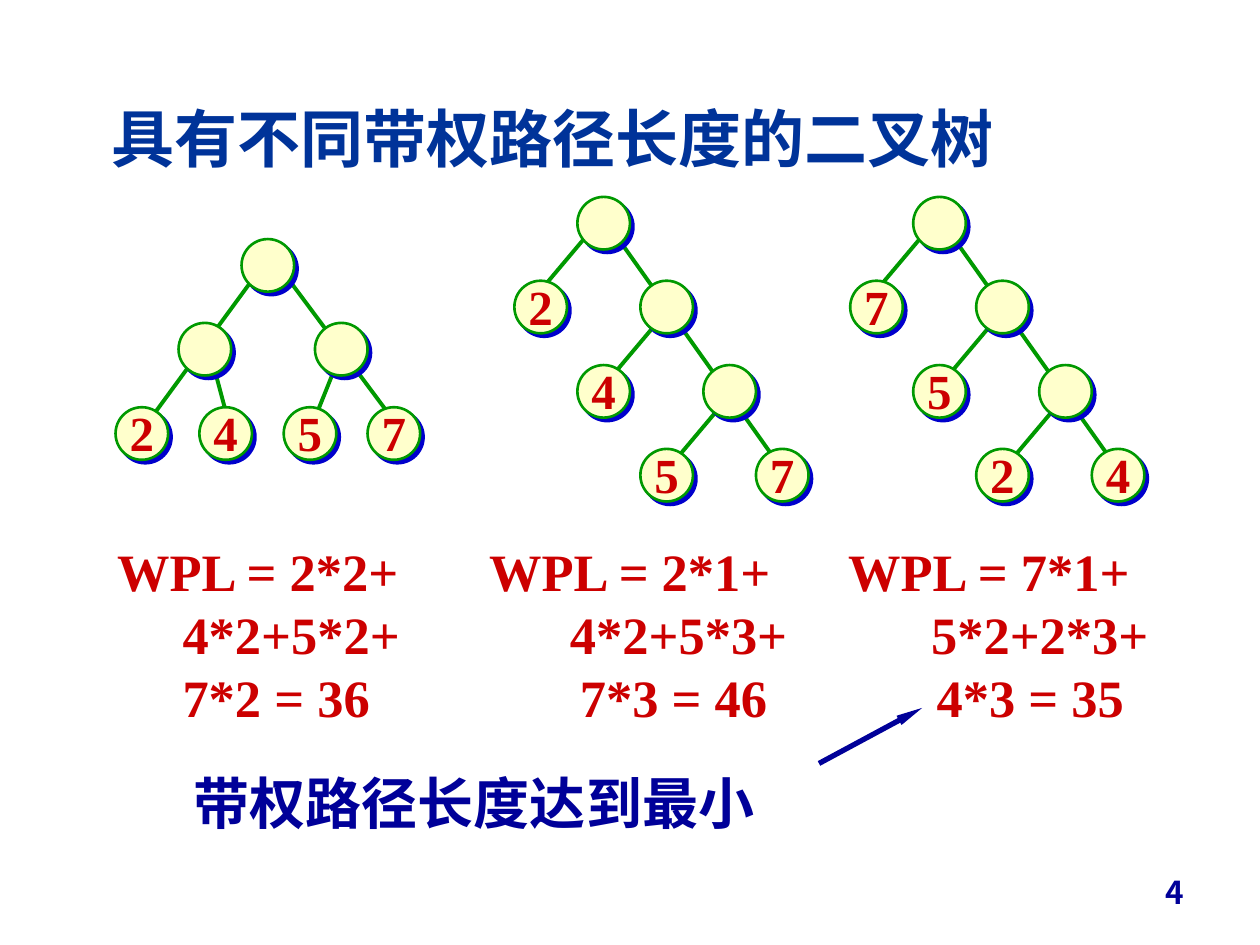
from lxml.etree import SubElement
from pptx import Presentation
from pptx.dml.color import RGBColor
from pptx.enum.shapes import MSO_CONNECTOR, MSO_SHAPE
from pptx.enum.text import MSO_ANCHOR, MSO_AUTO_SIZE, PP_ALIGN
from pptx.oxml.ns import qn
from pptx.util import Cm, Pt

GREEN, CREAM, RED, NAVY = "009900", "FFFFCC", "CC0000", "000099"
SERIF, SANS = "Times New Roman", "Noto Sans CJK SC"
NODE = 1.06  # circle diameter in cm


def color(code):
    return RGBColor.from_string(code)


def add_span(para, text, size, code, font=SERIF):
    """Append a bold run, with the sans font for Chinese characters."""
    span = para.add_run()
    span.text = text
    span.font.name = font
    span.font.size = Pt(size)
    span.font.bold = True
    span.font.color.rgb = color(code)
    SubElement(span.font._element, qn("a:ea"), typeface=SANS)


deck = Presentation()
deck.slide_width, deck.slide_height = Cm(25.4), Cm(19.05)
page = deck.slides.add_slide(deck.slide_layouts[5])

# Title
title = page.shapes.title
title.left, title.top, title.width, title.height = Cm(2), Cm(1.88), Cm(21.16), Cm(1.78)
title.text_frame.auto_size = MSO_AUTO_SIZE.NONE
title.text_frame.vertical_anchor = MSO_ANCHOR.MIDDLE
para = title.text_frame.paragraphs[0]
para.alignment = PP_ALIGN.LEFT
add_span(para, "具有不同带权路径长度的二叉树", 36, "003399")

# Weighted path lengths: column left, then lines with their indents (cm)
columns = [
    (2.36, [("WPL = 2*2+", 0), ("4*2+5*2+", 1.32), ("7*2 = 36", 1.32)]),
    (9.86, [("WPL = 2*1+", 0), ("4*2+5*3+", 1.63), ("7*3 = 46", 1.83)]),
    (17.1, [("WPL = 7*1+", 0), ("5*2+2*3+", 1.67), ("4*3 = 35", 1.78)]),
]
for left, lines in columns:
    box = page.shapes.add_textbox(Cm(left), Cm(10.87), Cm(6.6), Cm(3.81))
    frame = box.text_frame
    frame.word_wrap = True
    frame.margin_left = frame.margin_right = frame.margin_top = frame.margin_bottom = 0
    for index, (text, indent) in enumerate(lines):
        para = frame.paragraphs[0] if index == 0 else frame.add_paragraph()
        para.line_spacing = Pt(36)
        para._p.get_or_add_pPr().set("marL", str(Cm(indent)))
        add_span(para, text, 30, RED)

caption = page.shapes.add_textbox(Cm(3.66), Cm(15.17), Cm(12.5), Cm(2))
caption.text_frame.word_wrap = True
caption.text_frame.vertical_anchor = MSO_ANCHOR.MIDDLE
add_span(caption.text_frame.paragraphs[0], "带权路径长度达到最小", 32, NAVY, SANS)

# Trees: node centres and edge ends (cm) from the root's centre
balanced_nodes = [(0, 0), (-1.27, 1.69), (1.48, 1.69), (-2.54, 3.39),
                  (-0.85, 3.39), (0.85, 3.39), (2.54, 3.39)]
balanced_edges = [(0.11, -0.13, 2.65, 3.28), (1.38, 2, 0.96, 3.05),
                  (-1.16, 1.78, -0.76, 3.28), (-0.32, 0.3, -2.65, 3.48)]
skewed_nodes = [(0, 0), (-1.27, 1.69), (1.27, 1.69), (0, 3.39),
                (2.54, 3.39), (1.27, 5.08), (3.6, 5.08)]
skewed_edges = [(-0.41, 0.33, -1.48, 1.6), (1.07, 2.01, 0, 3.28),
                (2.34, 3.71, 1.27, 4.98), (0, -0.1, 3.61, 4.98)]
trees = [
    (5.4, 5.35, balanced_nodes, balanced_edges, ["", "", "", "2", "4", "5", "7"]),
    (12.17, 4.5, skewed_nodes, skewed_edges, ["", "2", "", "4", "", "5", "7"]),
    (18.94, 4.5, skewed_nodes, skewed_edges, ["", "7", "", "5", "", "2", "4"]),
]
strokes = [
    (root_x + x1, root_y + y1, root_x + x2, root_y + y2, GREEN, 2.25)
    for root_x, root_y, _, edges, _ in trees
    for x1, y1, x2, y2 in edges
]
strokes.append((16.51, 15.39, 18.59, 14.27, NAVY, 3))
for x1, y1, x2, y2, code, width in strokes:
    stroke = page.shapes.add_connector(MSO_CONNECTOR.STRAIGHT, Cm(x1), Cm(y1), Cm(x2), Cm(y2))
    stroke.line.color.rgb = color(code)
    stroke.line.width = Pt(width)
    SubElement(stroke._element.spPr, qn("a:effectLst"))
# The last stroke points at the smallest path length
SubElement(stroke.line._get_or_add_ln(), qn("a:tailEnd"), type="triangle", w="sm", len="lg")

for root_x, root_y, nodes, _, weights in trees:
    for (x, y), weight in zip(nodes, weights):
        node = page.shapes.add_shape(MSO_SHAPE.OVAL, Cm(root_x + x - NODE / 2),
                                     Cm(root_y + y - NODE / 2), Cm(NODE), Cm(NODE))
        node.fill.solid()
        node.fill.fore_color.rgb = color(CREAM)
        node.line.color.rgb = color(GREEN)
        node.line.width = Pt(1.5)
        effects = SubElement(node._element.spPr, qn("a:effectLst"))
        shadow = SubElement(effects, qn("a:outerShdw"), dist=str(Pt(2.8)), dir="2700000", algn="ctr")
        SubElement(shadow, qn("a:srgbClr"), val="0000CC")
        if weight:
            frame = node.text_frame
            frame.margin_left = frame.margin_right = frame.margin_top = 0
            frame.margin_bottom = Cm(0.06)
            frame.word_wrap = False
            frame.vertical_anchor = MSO_ANCHOR.MIDDLE
            frame.paragraphs[0].alignment = PP_ALIGN.CENTER
            add_span(frame.paragraphs[0], weight, 28, RED)

# Page number
box = page.shapes.add_textbox(Cm(18.2), Cm(17.22), Cm(5.93), Cm(1.27))
box.text_frame.word_wrap = True
box.text_frame.vertical_anchor = MSO_ANCHOR.BOTTOM
para = box.text_frame.paragraphs[0]
para.alignment = PP_ALIGN.RIGHT
add_span(para, "4", 18, NAVY, "Noto Sans CJK JP")

deck.save("out.pptx")
